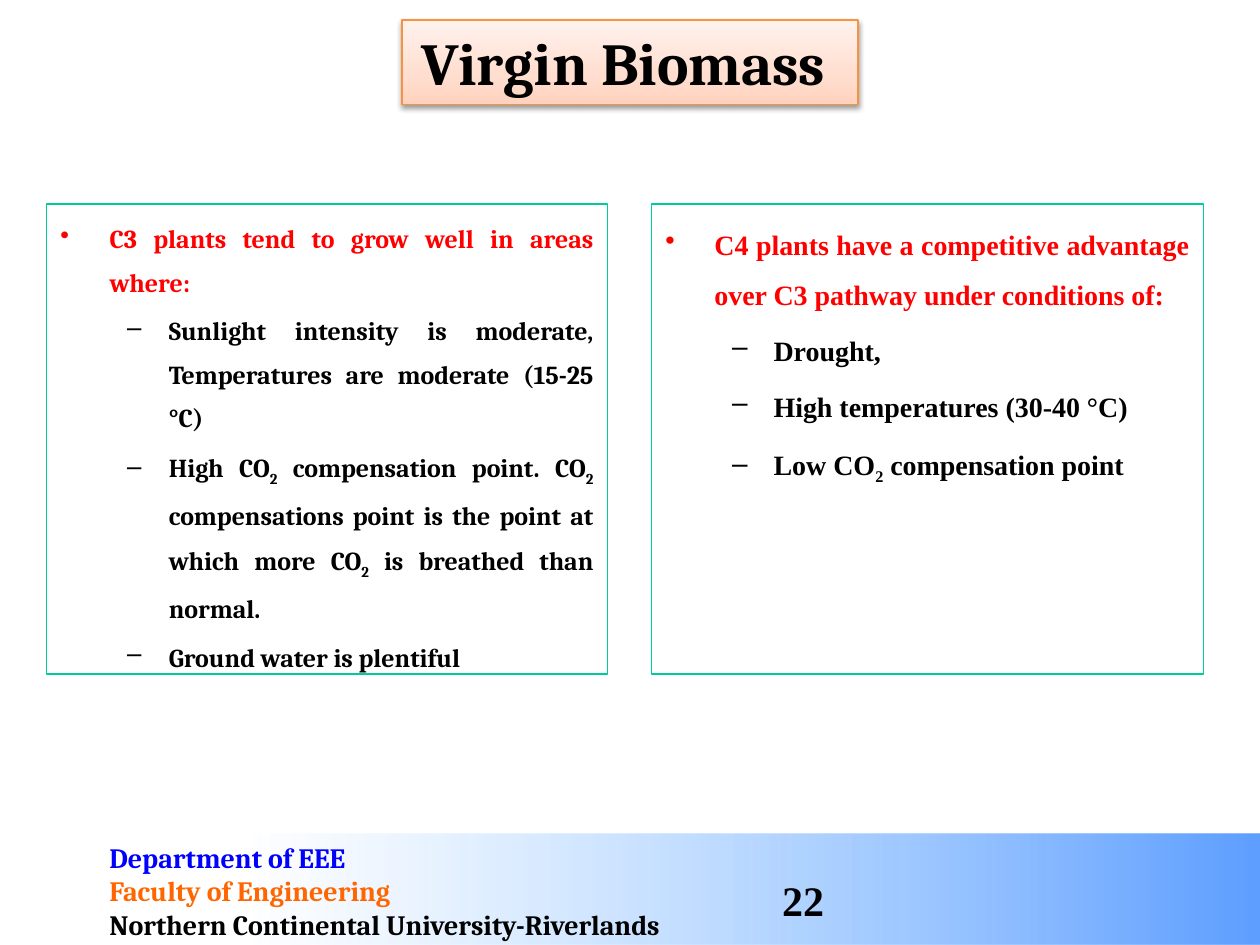
import pptx
import pptx.dml.color
import pptx.enum.shapes
import pptx.enum.text
import pptx.oxml
import pptx.oxml.ns
import pptx.util

ALIGN = pptx.enum.text.PP_ALIGN
ANCHOR = pptx.enum.text.MSO_ANCHOR
COLUMNS, ROWS = 100, 75
NAMESPACE = pptx.oxml.ns.nsdecls("a")


def color(hex_value):
    return pptx.dml.color.RGBColor.from_string(hex_value)


def apply(target, values):
    for name, value in values.items():
        setattr(target, name, value)


class SlideBuilder:
    heading_font = "Cambria"
    body_font = "Times New Roman"
    ink, accent, frame = "000000", "FF0000", "00CC99"
    levels = [("•", 0.39, -0.39), ("–", 0.86, -0.33)]

    def __init__(self, deck):
        self.deck = deck
        self.slide = deck.slides.add_slide(deck.slide_layouts[6])

    def place(self, left, top, width, height):
        column = self.deck.slide_width / COLUMNS
        row = self.deck.slide_height / ROWS
        return [round(n * unit) for n, unit in
                zip((left, top, width, height), (column, row, column, row))]

    def rectangle(self, area, line=None):
        panel = self.slide.shapes.add_shape(
            pptx.enum.shapes.MSO_SHAPE.RECTANGLE, *self.place(*area))
        panel.shadow.inherit = False
        panel.fill.background()
        if line:
            panel.line.color.rgb = color(line)
            panel.line.width = pptx.util.Pt(0.75)
        else:
            panel.line.fill.background()
        return panel

    def gradient(self, panel, stops, angle):
        marks = "".join(
            f'<a:gs pos="{share * 1000}"><a:srgbClr val="{shade}">'
            f'<a:alpha val="{alpha * 1000}"/></a:srgbClr></a:gs>'
            for share, shade, alpha in stops)
        fill = pptx.oxml.parse_xml(
            f'<a:gradFill {NAMESPACE} rotWithShape="1"><a:gsLst>{marks}</a:gsLst>'
            f'<a:lin ang="{angle * 60000}" scaled="0"/></a:gradFill>')
        properties = panel._element.spPr
        blank = properties.find(pptx.oxml.ns.qn("a:noFill"))
        properties.replace(blank, fill)

    def shadow(self, panel):
        effects = panel._element.spPr.find(pptx.oxml.ns.qn("a:effectLst"))
        effects.append(pptx.oxml.parse_xml(
            f'<a:outerShdw {NAMESPACE} blurRad="39400" dist="20300" dir="5400000" '
            'rotWithShape="0"><a:srgbClr val="000000"><a:alpha val="38000"/>'
            '</a:srgbClr></a:outerShdw>'))

    def add_runs(self, paragraph, text, font, size, shade):
        for index, piece in enumerate(text.split("~")):
            run = paragraph.add_run()
            run.text = piece
            apply(run.font, {"name": font, "size": pptx.util.Pt(size), "bold": True})
            run.font.color.rgb = color(shade)
            if index % 2:
                run._r.get_or_add_rPr().set("baseline", "-25000")

    def lines(self, holder, entries, font, size, align, anchor=ANCHOR.TOP, wrap=True):
        frame = holder.text_frame
        apply(frame, {"word_wrap": wrap, "vertical_anchor": anchor})
        for index, (text, shade) in enumerate(entries):
            paragraph = frame.add_paragraph() if index else frame.paragraphs[0]
            paragraph.alignment = align
            self.add_runs(paragraph, text, font, size, shade)

    def text_box(self, area, *args, **options):
        self.lines(self.slide.shapes.add_textbox(*self.place(*area)), *args, **options)

    def title(self, area, text):
        banner = self.rectangle(area, "F69240")
        self.gradient(banner, [(0, "FFD2BD", 100), (35, "FFDED0", 100),
                               (100, "FFF2ED", 100)], 270)
        self.shadow(banner)
        self.lines(banner, [(text, self.ink)], self.heading_font, 34, ALIGN.CENTER)

    def bullet(self, paragraph, level):
        mark, margin, indent = self.levels[level]
        paragraph.level = level
        properties = paragraph._p.get_or_add_pPr()
        properties.set("marL", str(pptx.util.Inches(margin)))
        properties.set("indent", str(pptx.util.Inches(indent)))
        properties.append(pptx.oxml.parse_xml(
            f'<a:buChar {NAMESPACE} char="{mark}"/>'))

    def bullet_panel(self, area, heading, points, font, size, spacing):
        panel = self.rectangle(area, self.frame)
        inset = pptx.util.Inches(0.11)
        apply(panel.text_frame, {"margin_left": inset, "margin_right": inset})
        entries = [(heading, self.accent)] + [(point, self.ink) for point in points]
        self.lines(panel, entries, font, size, ALIGN.JUSTIFY)
        for index, paragraph in enumerate(panel.text_frame.paragraphs):
            apply(paragraph, {"line_spacing": spacing,
                              "space_before": pptx.util.Pt(size * 0.2)})
            self.bullet(paragraph, min(index, 1))


def main():
    deck = pptx.Presentation()
    apply(deck, {"slide_width": pptx.util.Inches(10),
                 "slide_height": pptx.util.Inches(7.5)})
    page = SlideBuilder(deck)

    footer_band = page.rectangle((0, 66.2, 100, 8.8))
    page.gradient(footer_band, [(0, "5E9EFF", 100), (80, "85C2FF", 0),
                                (100, "85C2FF", 0)], 180)
    affiliation = [("Department of EEE", "0000FF"),
                   ("Faculty of Engineering", "FF6600"),
                   ("Northern Continental University-Riverlands", page.ink)]
    page.text_box((7.7, 66.2, 50.1, 9.1), affiliation, page.heading_font, 16,
                  ALIGN.LEFT, wrap=False)

    page.title((31.9, 1.6, 36.2, 6.7), "Virgin Biomass ")
    page.text_box((43.1, 69.4, 23.3, 4), [("22", page.ink)], page.body_font, 24,
                  ALIGN.RIGHT, anchor=ANCHOR.MIDDLE)

    page.bullet_panel(
        (3.7, 16.2, 44.5, 37.3),
        "C3 plants tend to grow well in areas where:",
        ["Sunlight intensity is moderate, Temperatures are moderate (15-25 °C)",
         "High CO~2~ compensation point. CO~2~ compensations point is the point "
         "at which more CO~2~ is breathed than normal.",
         "Ground water is plentiful"],
        page.heading_font, 14.8, 1.4)
    page.bullet_panel(
        (51.7, 16.2, 43.8, 37.3),
        "C4 plants have a competitive advantage over C3 pathway under conditions of:",
        ["Drought,", "High temperatures (30-40 °C)", "Low CO~2~ compensation point"],
        page.body_font, 16, 1.5)

    deck.save("out.pptx")


if __name__ == "__main__":
    main()
